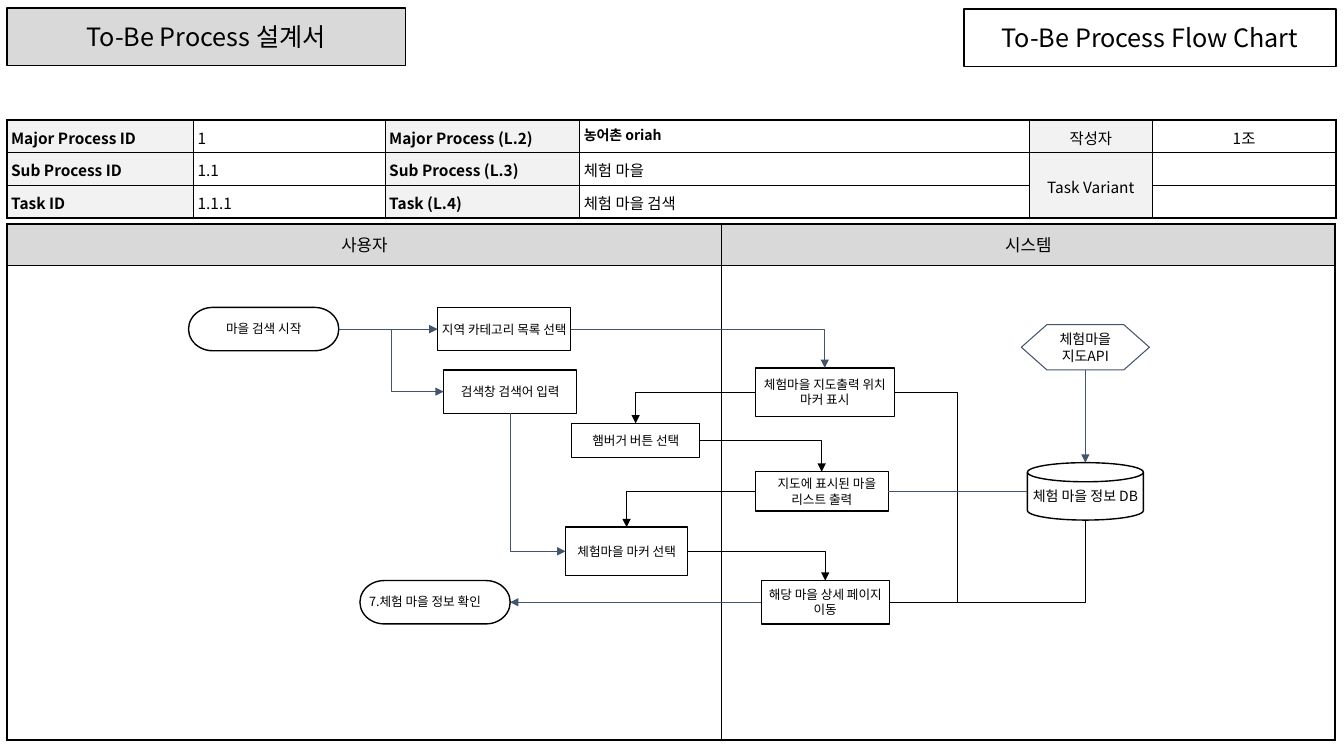
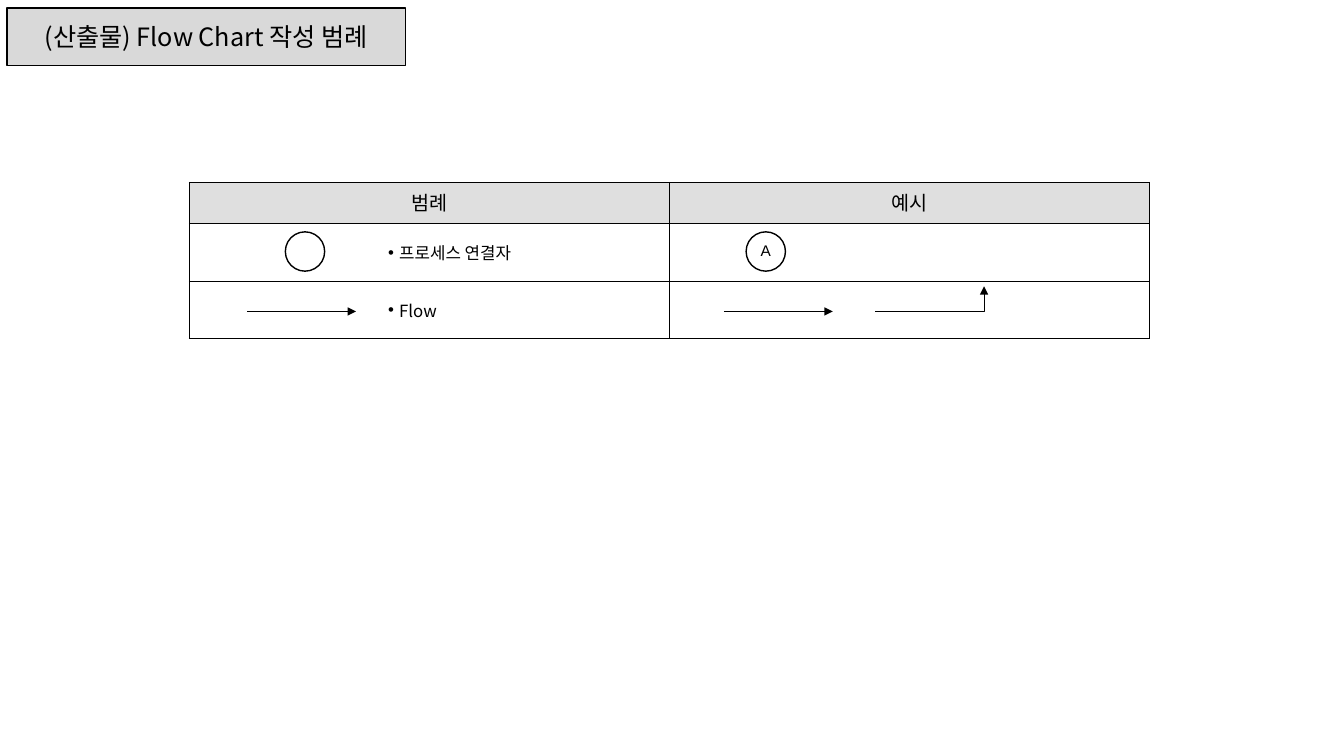
import pptx
import pptx.util
import pptx.dml.color
import pptx.enum.shapes
import pptx.enum.text
import pptx.oxml.ns
import pptx.oxml.xmlchemy

Shape = pptx.enum.shapes.MSO_SHAPE
Wire = pptx.enum.shapes.MSO_CONNECTOR
Align = pptx.enum.text.PP_ALIGN
Anchor = pptx.enum.text.MSO_ANCHOR
qn = pptx.oxml.ns.qn

SCALE = 9144
FONT = "Noto Sans CJK KR"
HUES = {"ink": "000000", "paper": "FFFFFF", "band": "D9D9D9", "label": "F2F2F2",
        "head": "DFDFDF", "slate": "44546A"}
TOP, LEFT, BASE, RIGHT = range(4)

TITLES = ["To-Be Process 설계서", "(산출물) Flow Chart 작성 범례"]
TITLE_BOX = (7, 8, 395, 57)
CHART_NAME = "To-Be Process Flow Chart"
CHART_BOX = (956, 9, 369, 57)

INFO = [
    ["Major Process ID", "1", "Major Process (L.2)", "농어촌 oriah", "작성자", "1조"],
    ["Sub Process ID", "1.1", "Sub Process (L.3)", "체험 마을", "Task Variant", ""],
    ["Task ID", "1.1.1", "Task (L.4)", "체험 마을 검색", "", ""],
]
INFO_COLS = [185, 190, 193, 446, 122, 182]
LANES = [["사용자", "시스템"], ["", ""]]
LEGEND = [["범례", "예시"], ["프로세스 연결자", ""], ["Flow", ""]]

PILL, RECT, STEP = Shape.FLOWCHART_TERMINATOR, Shape.RECTANGLE, Shape.FLOWCHART_PROCESS
NODES = {
    "start": (PILL, (187, 305, 149, 43), "마을 검색 시작"),
    "list": (RECT, (434, 305, 132, 43), "지역 카테고리 목록 선택"),
    "map": (STEP, (749, 365, 138, 48), "체험마을 지도출력 위치 마커 표시"),
    "menu": (RECT, (567, 420, 127, 34), "햄버거 버튼 선택"),
    "data": (Shape.FLOWCHART_MAGNETIC_DISK, (1019, 459, 115, 57), "체험 마을 정보 DB"),
    "towns": (STEP, (749, 468, 132, 39), "지도에 표시된 마을 리스트 출력"),
    "mark": (RECT, (561, 523, 121, 48), "체험마을 마커 선택"),
    "end": (PILL, (357, 576, 149, 43), "7.체험 마을 정보 확인"),
    "page": (RECT, (755, 576, 127, 43), "해당 마을 상세 페이지 이동"),
    "api": (Shape.FLOWCHART_PREPARATION, (1013, 322, 127, 45), "체험마을 지도API"),
    "find": (RECT, (440, 367, 132, 43), "검색창 검색어 입력"),
}
LINKS = [
    ("data", LEFT, "map", RIGHT, 950, "", "ink"),
    ("data", LEFT, "page", RIGHT, 950, "", "ink"),
    ("map", LEFT, "menu", TOP, "corner", "tail", "ink"),
    ("menu", RIGHT, "towns", TOP, "corner", "tail", "ink"),
    ("towns", LEFT, "mark", TOP, "corner", "tail", "ink"),
    ("mark", RIGHT, "page", TOP, "corner", "tail", "ink"),
    ("api", BASE, "data", TOP, "straight", "tail", "slate"),
    ("towns", RIGHT, "data", LEFT, "straight", "", "slate"),
    ("page", LEFT, "end", RIGHT, "straight", "tail", "slate"),
    ("list", RIGHT, "map", TOP, "corner", "tail", "slate"),
    ("start", RIGHT, "list", LEFT, "straight", "tail", "slate"),
    ("page", RIGHT, "data", BASE, "corner", "", "ink"),
    ("start", RIGHT, "find", LEFT, 388, "tail", "slate"),
    ("mark", LEFT, "find", BASE, "corner", "head", "slate"),
]
RINGS = [(283, ""), (740, "A")]
ARROWS = [245, 718]
BEND = [(868, 309), (976, 309), (976, 284)]


def px(num):
    return int(num * SCALE)


def hue(key):
    return pptx.dml.color.RGBColor.from_string(HUES[key])


def node(root, tag, **attrs):
    part = pptx.oxml.xmlchemy.OxmlElement(tag)
    for key, val in attrs.items():
        part.set(key, str(val))
    root.append(part)
    return part


def write(frame, text, size, align=Align.CENTER, bold=False, space=None, font=FONT):
    para = frame.paragraphs[0]
    para.alignment = align
    if space:
        para.line_spacing = space
    if not text:
        node(para._p, "a:endParaRPr", sz=size * 100)
        return
    run = para.add_run()
    run.text = text
    run.font.size = pptx.util.Pt(size)
    run.font.bold = bold
    run.font.color.rgb = hue("ink")
    run.font.name = font
    node(run._r.get_or_add_rPr(), "a:ea", typeface=FONT)


def inset(item, left, top):
    item.margin_left = item.margin_right = px(left)
    item.margin_top = item.margin_bottom = px(top)


def paint(shape, fill, line="ink", width=1):
    if fill:
        shape.fill.solid()
        shape.fill.fore_color.rgb = hue(fill)
    else:
        shape.fill.background()
    shape.line.color.rgb = hue(line)
    shape.line.width = pptx.util.Pt(width)


def draw(slide, kind, box, text, size, fill="paper", line="ink", width=1,
         pad=(2, 0), **style):
    shape = slide.shapes.add_shape(kind, *map(px, box))
    shape.shadow.inherit = False
    paint(shape, fill, line, width)
    frame = shape.text_frame
    frame.word_wrap = True
    frame.vertical_anchor = Anchor.MIDDLE
    inset(frame, *pad)
    if text:
        write(frame, text, size, **style)
    return shape


def point(line, end):
    if end:
        node(line._get_or_add_ln(), f"a:{end}End", type="triangle")


def wire(slide, kind, ends, end, color="ink"):
    link = slide.shapes.add_connector(kind, *map(px, ends))
    link.line.color.rgb = hue(color)
    link.line.width = pptx.util.Pt(0.75)
    point(link.line, end)
    node(link._element.spPr, "a:effectLst")
    return link


def join(slide, shapes, start, side, stop, face, form, end, color):
    kind = Wire.STRAIGHT if form == "straight" else Wire.ELBOW
    link = wire(slide, kind, (0, 0, 0, 0), end, color)
    link.begin_connect(shapes[start], side)
    link.end_connect(shapes[stop], face)
    for name, tag in ((start, "a:stCxn"), (stop, "a:endCxn")):
        if name == "data":
            site = next(link._element.iter(qn(tag)))
            site.set("idx", str(int(site.get("idx")) + 1))
    geom = link._element.spPr.find(qn("a:prstGeom"))
    if form == "corner":
        geom.set("prst", "bentConnector2")
    elif form != "straight":
        part = (px(form) - link.begin_x) / (link.end_x - link.begin_x)
        node(geom.find(qn("a:avLst")), "a:gd", name="adj1", fmla=f"val {round(part * 100000)}")


def edge(cell, widths):
    props = cell._tc.get_or_add_tcPr()
    for side, width in zip("LRTB", widths):
        line = node(props, f"a:ln{side}", w=int(width * 12700))
        node(node(line, "a:solidFill"), "a:srgbClr", val=HUES["ink"])


def grid(slide, spot, cols, rows, outer, inner, style, merge=None):
    table = slide.shapes.add_table(len(rows), len(cols), *map(px, spot),
                                   px(sum(cols)), px(sum(rows))).table
    table.first_row = table.horz_banding = False
    for col, width in zip(table.columns, cols):
        col.width = px(width)
    for row, height in zip(table.rows, rows):
        row.height = px(height)
    if merge:
        table.cell(*merge[0]).merge(table.cell(*merge[1]))
    for r in range(len(rows)):
        for c in range(len(cols)):
            cell = table.cell(r, c)
            if cell.is_spanned:
                continue
            base = r + (cell.span_height if cell.is_merge_origin else 1)
            rim = (c == 0, c == len(cols) - 1, r == 0, base == len(rows))
            edge(cell, [outer if out else inner for out in rim])
            fill = style(cell, r, c)
            if fill:
                cell.fill.solid()
                cell.fill.fore_color.rgb = hue(fill)
            else:
                cell.fill.background()


def info(cell, r, c):
    inset(cell, 4, 4)
    name = (r, c) == (0, 3)
    if c > 3:
        cell.vertical_anchor = Anchor.MIDDLE
    write(cell.text_frame, INFO[r][c], 10 if name else 11,
          Align.CENTER if c > 3 else Align.LEFT,
          bold=c in (0, 2) or name, space=None if name else 1.1)
    return "label" if c % 2 == 0 else None


def lane(cell, r, c):
    cell.vertical_anchor = Anchor.MIDDLE
    write(cell.text_frame, LANES[r][c], 12)
    return None if r else "band"


def legend(cell, r, c):
    text = LEGEND[r][c]
    if r == 0:
        write(cell.text_frame, text, 14)
        return "head"
    cell.vertical_anchor = Anchor.MIDDLE
    if text:
        cell.margin_left = px(197)
        props = cell.text_frame.paragraphs[0]._p.get_or_add_pPr()
        props.set("marL", str(px(11)))
        props.set("indent", str(-px(11)))
        node(props, "a:buFont", typeface="Arial")
        node(props, "a:buChar", char="•")
    write(cell.text_frame, text, 12, Align.LEFT)
    return None


def page(deck, text):
    slide = deck.slides.add_slide(deck.slide_layouts[5])
    title = slide.shapes.title
    title.left, title.top, title.width, title.height = map(px, TITLE_BOX)
    paint(title, "band")
    frame = title.text_frame
    frame.auto_size = pptx.enum.text.MSO_AUTO_SIZE.NONE
    frame.word_wrap = True
    frame.vertical_anchor = Anchor.MIDDLE
    write(frame, text, 18)
    return slide


def flow(deck):
    slide = page(deck, TITLES[0])
    draw(slide, RECT, CHART_BOX, CHART_NAME, 18, fill=None, pad=(10, 5))
    grid(slide, (7, 222), [709, 608], [41, 471], 1.5, 0.75, lane)
    grid(slide, (7, 119), INFO_COLS, [31] * 3, 1.5, 1, info, ((1, 4), (2, 4)))
    shapes = {}
    for name, (kind, box, text) in NODES.items():
        api = name == "api"
        pad = (10, 10) if api else (4, 4) if kind == STEP else (2, 0)
        shapes[name] = draw(
            slide, kind, box, text, 10 if name in ("api", "data") else 9,
            line="slate" if api else "ink", width=0.75 if api else 1, pad=pad,
            align=Align.LEFT if name == "end" else Align.CENTER,
            space=0.9 if kind == PILL else None,
            font="Arial" if name == "find" else FONT)
    props = shapes["towns"].text_frame.paragraphs[0]._p.get_or_add_pPr()
    props.set("indent", str(px(10)))
    for link in LINKS:
        join(slide, shapes, *link)


def key(deck):
    slide = page(deck, TITLES[1])
    grid(slide, (188, 181), [476, 476], [41, 57, 57], 1, 1, legend)
    for left, text in RINGS:
        draw(slide, Shape.FLOWCHART_CONNECTOR, (left, 230, 39, 39), text, 11,
             space=0.9, font="Arial")
    for left in ARROWS:
        wire(slide, Wire.STRAIGHT, (left, 309, left + 108, 309), "tail")
    form = slide.shapes.build_freeform(*BEND[0], scale=SCALE)
    form.add_line_segments(BEND[1:], close=False)
    bend = form.convert_to_shape()
    bend.shadow.inherit = False
    paint(bend, None, width=0.75)
    point(bend.line, "tail")


def main():
    deck = pptx.Presentation()
    deck.slide_width, deck.slide_height = px(1333), px(750)
    flow(deck)
    key(deck)
    deck.save("out.pptx")


if __name__ == "__main__":
    main()
